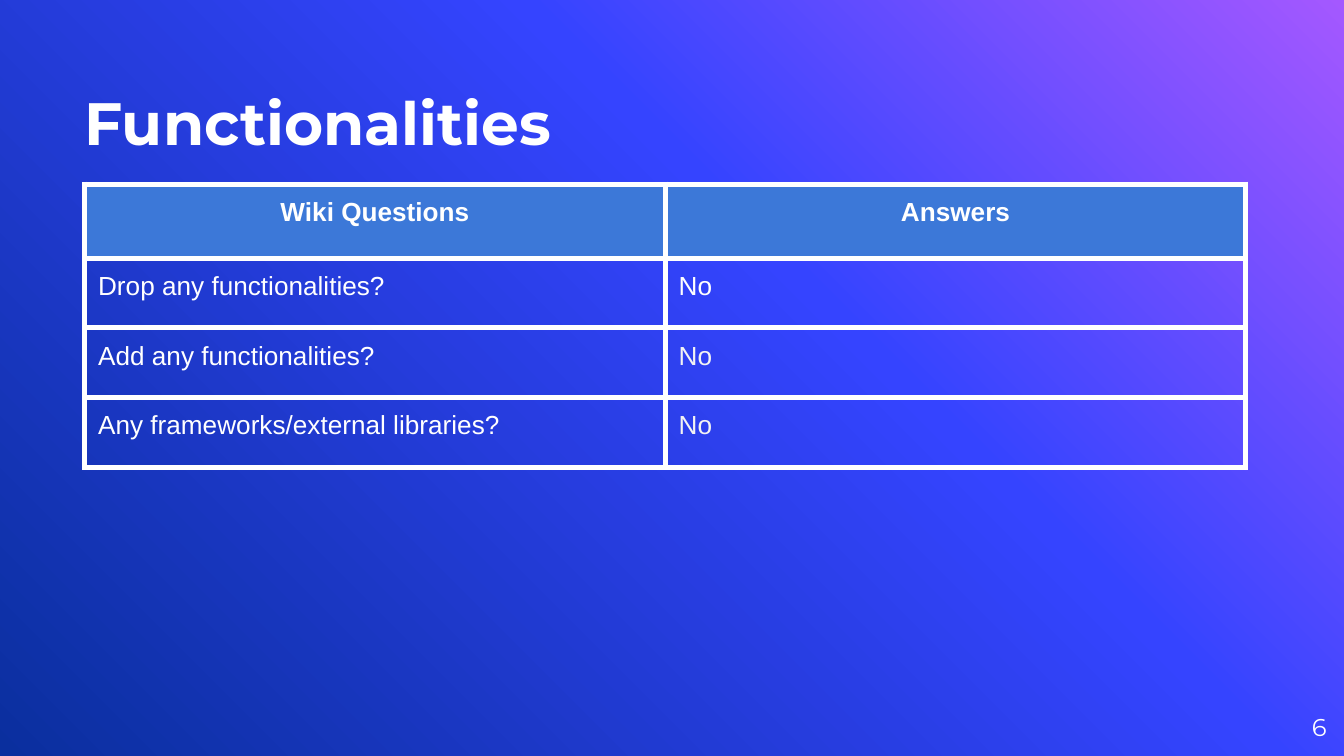
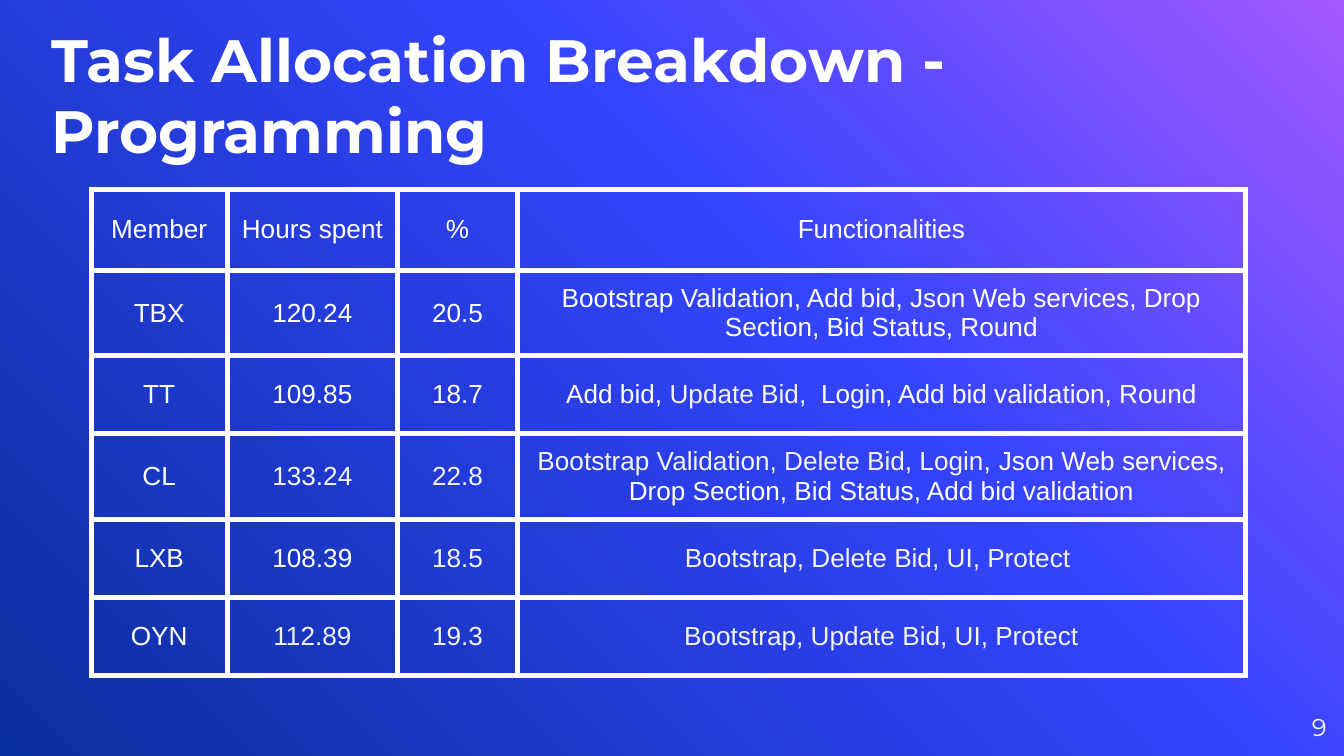
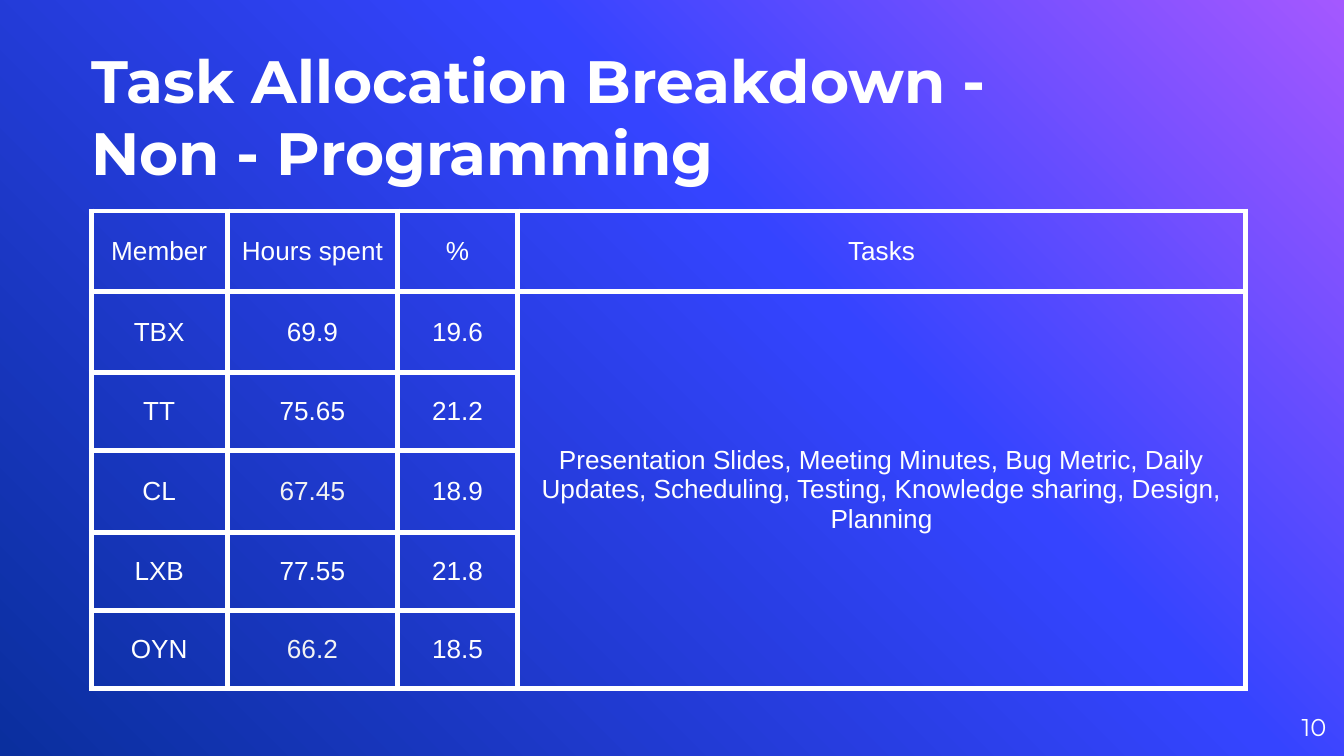
from copy import deepcopy

from lxml.etree import SubElement
from pptx import Presentation
from pptx.dml.color import RGBColor
from pptx.enum.text import MSO_ANCHOR, MSO_AUTO_SIZE, PP_ALIGN
from pptx.oxml.ns import qn
from pptx.util import Inches, Pt

WHITE, SOFT_WHITE, HEADER_BLUE = "FFFFFF", "F3F3F3", "3C78D8"
BACKGROUND_STOPS = [(0, "A458FF"), (0.39, "3544FF"), (1, "0A2F9E")]
HEADING_FONT, TABLE_FONT = "Montserrat", "Arial"
LEFT, CENTER, RIGHT = PP_ALIGN.LEFT, PP_ALIGN.CENTER, PP_ALIGN.RIGHT
TOP, MIDDLE, BOTTOM = MSO_ANCHOR.TOP, MSO_ANCHOR.MIDDLE, MSO_ANCHOR.BOTTOM

MEMBER_COLUMNS = [101, 127, 89, 542]
MEMBER_ROWS = [60, 60, 58, 61, 58, 58]

# Boxes, columns and rows count units of a grid 1000 columns wide.
SLIDES = [
    dict(
        title="Functionalities", title_box=(63, 23, 658, 94), title_anchor=BOTTOM,
        number="6", table_at=(63, 137), columns=[432, 432], rows=[55, 52, 52, 52],
        cell_anchor=TOP, body_align=LEFT, header_fill=HEADER_BLUE,
        content=[
            ["Wiki Questions", "Answers"],
            ["Drop any functionalities?", "No"],
            ["Add any functionalities?", "|No"],
            ["Any frameworks/external libraries?", "|No"],
        ],
    ),
    dict(
        title="Task Allocation Breakdown - Programming",
        title_box=(38, 23, 919, 94), title_anchor=MIDDLE,
        number="9", table_at=(68, 141), columns=MEMBER_COLUMNS, rows=MEMBER_ROWS,
        cell_anchor=MIDDLE, body_align=CENTER, header_fill=None,
        content=[
            ["Member", "Hours spent ", "%", "Functionalities"],
            ["TBX", "120.24", "20.5",
             "Bootstrap Validation, Add bid, Json Web services, Drop Section, Bid Status, Round"],
            ["TT", "109.85", "18.7",
             "Add bid, |Update Bid, | Login, Add bid validation, Round"],
            ["CL", "|133.24", "|22.8",
             "|Bootstrap Validation, Delete Bid, Login, |Json Web services, "
             "Drop Section, Bid Status, Add bid validation"],
            ["LXB", "108.39", "|18.5", "|Bootstrap, Delete Bid, UI, Protect "],
            ["OYN", "|112.89", "|19.3", "|Bootstrap, Update Bid, UI, Protect"],
        ],
    ),
    dict(
        title="Task Allocation Breakdown -\nNon - Programming",
        title_box=(68, 39, 889, 94), title_anchor=MIDDLE,
        number="10", table_at=(68, 157), columns=MEMBER_COLUMNS, rows=MEMBER_ROWS,
        cell_anchor=MIDDLE, body_align=CENTER, header_fill=None,
        shared_tasks=((1, 3), (5, 3)),
        content=[
            ["Member", "Hours spent ", "%", "Tasks"],
            ["TBX", "69.9", "19.6",
             "Presentation Slides, Meeting Minutes, Bug Metric, Daily Updates, "
             "Scheduling, Testing, Knowledge sharing, Design, Planning"],
            ["TT", "75.65", "21.2"],
            ["CL", "|67.45", "18.9"],
            ["LXB", "77.55", "21.8"],
            ["OYN", "|66.2", "18.5"],
        ],
    ),
]


def rgb(code):
    return RGBColor.from_string(code)


def write(frame, text, font=TABLE_FONT, size=14, bold=False, align=LEFT, anchor=None):
    """Fill a frame; each "|" in a line switches between white and soft white.

    An anchor marks a free-standing box, which also loses its margins.
    """
    if anchor is not None:
        frame.word_wrap = True
        frame.auto_size = MSO_AUTO_SIZE.NONE
        frame.vertical_anchor = anchor
        frame.margin_left = frame.margin_right = 0
        frame.margin_top = frame.margin_bottom = 0
    for index, line in enumerate(text.split("\n")):
        paragraph = frame.add_paragraph() if index else frame.paragraphs[0]
        paragraph.alignment = align
        for part, words in enumerate(line.split("|")):
            if words:
                run = paragraph.add_run()
                run.text = words
                run.font.name, run.font.size, run.font.bold = font, Pt(size), bold
                run.font.color.rgb = rgb(SOFT_WHITE if part % 2 else WHITE)


prs = Presentation()
prs.slide_width = Inches(10)
prs.slide_height = prs.slide_width * 9 // 16
GRID = prs.slide_width // 1000

backdrop = prs.slide_master.background.fill
backdrop.gradient()
backdrop.gradient_angle = 225
stop_list = prs.slide_master.element.find(".//" + qn("a:gsLst"))
stop_list.append(deepcopy(stop_list[-1]))
for stop, (position, color) in zip(backdrop.gradient_stops, BACKGROUND_STOPS):
    stop.position = position
    stop.color.rgb = rgb(color)

for page in SLIDES:
    slide = prs.slides.add_slide(prs.slide_layouts[5])

    title = slide.shapes.title
    title.left, title.top, title.width, title.height = (n * GRID for n in page["title_box"])
    write(title.text_frame, page["title"], font=HEADING_FONT, size=32, bold=True,
          anchor=page["title_anchor"])

    page_number = slide.shapes.add_textbox(*(n * GRID for n in (927, 519, 60, 43)))
    write(page_number.text_frame, page["number"], font=HEADING_FONT, size=13,
          align=RIGHT, anchor=MIDDLE)

    columns, rows = page["columns"], page["rows"]
    left, top = page["table_at"]
    table = slide.shapes.add_table(
        len(rows), len(columns), left * GRID, top * GRID,
        sum(columns) * GRID, sum(rows) * GRID).table
    table.first_row = table.horz_banding = False
    for column, width in zip(table.columns, columns):
        column.width = width * GRID
    for row, height in zip(table.rows, rows):
        row.height = height * GRID

    for cell in table.iter_cells():
        cell.margin_left = cell.margin_right = Inches(0.1)
        cell.margin_top = cell.margin_bottom = Inches(0.1)
        cell.vertical_anchor = page["cell_anchor"]
        for side in ("a:lnL", "a:lnR", "a:lnT", "a:lnB"):
            border = SubElement(cell._tc.get_or_add_tcPr(), qn(side), w=str(Pt(3)))
            SubElement(SubElement(border, qn("a:solidFill")), qn("a:srgbClr"), val=WHITE)
        cell.fill.background()

    header_fill = page["header_fill"]
    for r, texts in enumerate(page["content"]):
        for c, text in enumerate(texts):
            cell = table.cell(r, c)
            is_header = r == 0
            write(cell.text_frame, text, bold=is_header and header_fill is not None,
                  align=CENTER if is_header else page["body_align"])
            if is_header and header_fill:
                cell.fill.solid()
                cell.fill.fore_color.rgb = rgb(header_fill)

    if "shared_tasks" in page:
        first, last = page["shared_tasks"]
        table.cell(*first).merge(table.cell(*last))

prs.save("out.pptx")
